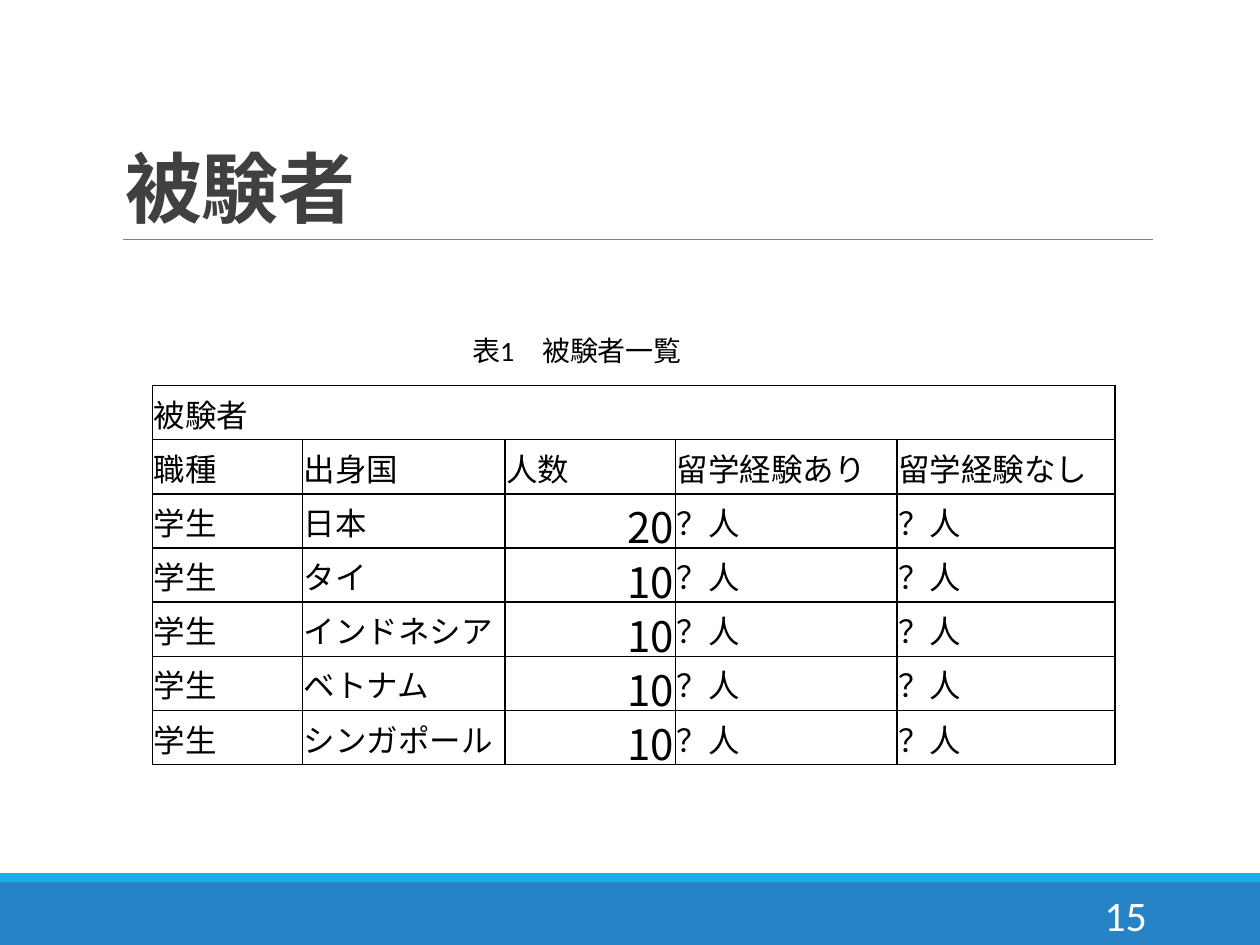
from lxml.etree import SubElement
from pptx import Presentation
from pptx.dml.color import RGBColor
from pptx.enum.shapes import MSO_CONNECTOR, MSO_SHAPE
from pptx.enum.text import MSO_ANCHOR, MSO_AUTO_SIZE, PP_ALIGN
from pptx.oxml import parse_xml
from pptx.oxml.ns import nsdecls, qn
from pptx.util import Inches, Pt

WIDTH, HEIGHT = 10, 7.5
CJK = "Noto Sans CJK JP"
COLUMNS = [1.19, 1.61, 1.35, 1.76, 1.73]
ROW_HEIGHT = 0.43
HEADERS = ["職種", "出身国", "人数", "留学経験あり", "留学経験なし"]
COUNTS = {"日本": 20, "タイ": 10, "インドネシア": 10, "ベトナム": 10, "シンガポール": 10}


def rgb(code):
    return RGBColor.from_string(code)


def format_runs(p, size, color, font="Calibri", bold=False, spacing=None):
    for r in p.runs:
        r.font.size, r.font.name, r.font.bold = Pt(size), font, bold
        r.font.color.rgb = rgb(color)
        rPr = r.font._element
        SubElement(rPr, qn("a:ea")).set("typeface", CJK)
        if spacing is not None:
            rPr.set("spc", str(int(spacing * 100)))


def add_band(s, top, height, color):
    sp = s.shapes.add_shape(MSO_SHAPE.RECTANGLE, 0, Inches(top), Inches(WIDTH), Inches(height))
    sp.shadow.inherit = False
    sp.fill.solid()
    sp.fill.fore_color.rgb = rgb(color)
    sp.line.fill.background()


def add_rule(s, left, right, y, color):
    line = s.shapes.add_connector(
        MSO_CONNECTOR.STRAIGHT, Inches(left), Inches(y), Inches(right), Inches(y))
    line.line.color.rgb = rgb(color)
    line.line.width = Pt(0.5)
    SubElement(line._element.spPr, qn("a:effectLst"))


def add_text(s, box, text, size, color, anchor=MSO_ANCHOR.TOP, align=PP_ALIGN.LEFT,
             line_spacing=None, **style):
    sp = s.shapes.add_textbox(*map(Inches, box))
    tf = sp.text_frame
    tf.word_wrap = True
    tf.vertical_anchor = anchor
    tf.text = text
    p = tf.paragraphs[0]
    p.alignment, p.line_spacing = align, line_spacing
    format_runs(p, size, color, **style)
    return sp


def add_borders(cell, color="000000", width=1):
    tcPr = cell._tc.get_or_add_tcPr()
    for i, side in enumerate(("lnL", "lnR", "lnT", "lnB")):
        tcPr.insert(i, parse_xml(
            f'<a:{side} {nsdecls("a")} w="{Pt(width)}"><a:solidFill>'
            f'<a:srgbClr val="{color}"/></a:solidFill></a:{side}>'))


def fill_cell(cell, value):
    """Numbers are large and right-aligned; words are left-aligned."""
    is_number = isinstance(value, int)
    cell.fill.background()
    cell.vertical_anchor = MSO_ANCHOR.MIDDLE
    cell.margin_left = cell.margin_right = cell.margin_top = Inches(0.01)
    cell.margin_bottom = 0
    cell.text = str(value)
    p = cell.text_frame.paragraphs[0]
    p.alignment = PP_ALIGN.RIGHT if is_number else PP_ALIGN.LEFT
    format_runs(p, 24 if is_number else 18, "000000", font=CJK)
    add_borders(cell)


def add_subject_table(s, left, top):
    rows = [["被験者", "", "", "", ""], HEADERS]
    rows += [["学生", country, n, "？人", "？人"] for country, n in COUNTS.items()]
    table = s.shapes.add_table(
        len(rows), len(COLUMNS), Inches(left), Inches(top),
        Inches(sum(COLUMNS)), Inches(ROW_HEIGHT * len(rows))).table
    table.first_row = table.horz_banding = False
    for column, width in zip(table.columns, COLUMNS):
        column.width = Inches(width)
    for i, values in enumerate(rows):
        table.rows[i].height = Inches(ROW_HEIGHT)
        for j, value in enumerate(values):
            fill_cell(table.cell(i, j), value)
    table.cell(0, 0).merge(table.cell(0, len(COLUMNS) - 1))


def main():
    prs = Presentation()
    prs.slide_width, prs.slide_height = Inches(WIDTH), Inches(HEIGHT)
    s = prs.slides.add_slide(prs.slide_layouts[6])
    add_band(s, 7, 0.5, "2683C6")
    add_band(s, 6.93, 0.07, "1CADE4")
    add_rule(s, 0.98, 9.15, 1.9, "808080")
    add_text(s, (0.9, 0.58, 8.25, 1.32), "被験者", 44, "404040", MSO_ANCHOR.BOTTOM,
             line_spacing=0.85, bold=True, spacing=-0.5)
    add_text(s, (8.12, 7.06, 1.08, 0.4), "15", 24, "FFFFFF", MSO_ANCHOR.MIDDLE, PP_ALIGN.RIGHT)
    caption = add_text(s, (3.26, 2.6, 2.64, 0.37), "表1　被験者一覧", 16, "000000",
                       align=PP_ALIGN.CENTER)
    caption.text_frame.auto_size = MSO_AUTO_SIZE.SHAPE_TO_FIT_TEXT
    add_subject_table(s, 1.21, 3.06)
    prs.save("out.pptx")


if __name__ == "__main__":
    main()
